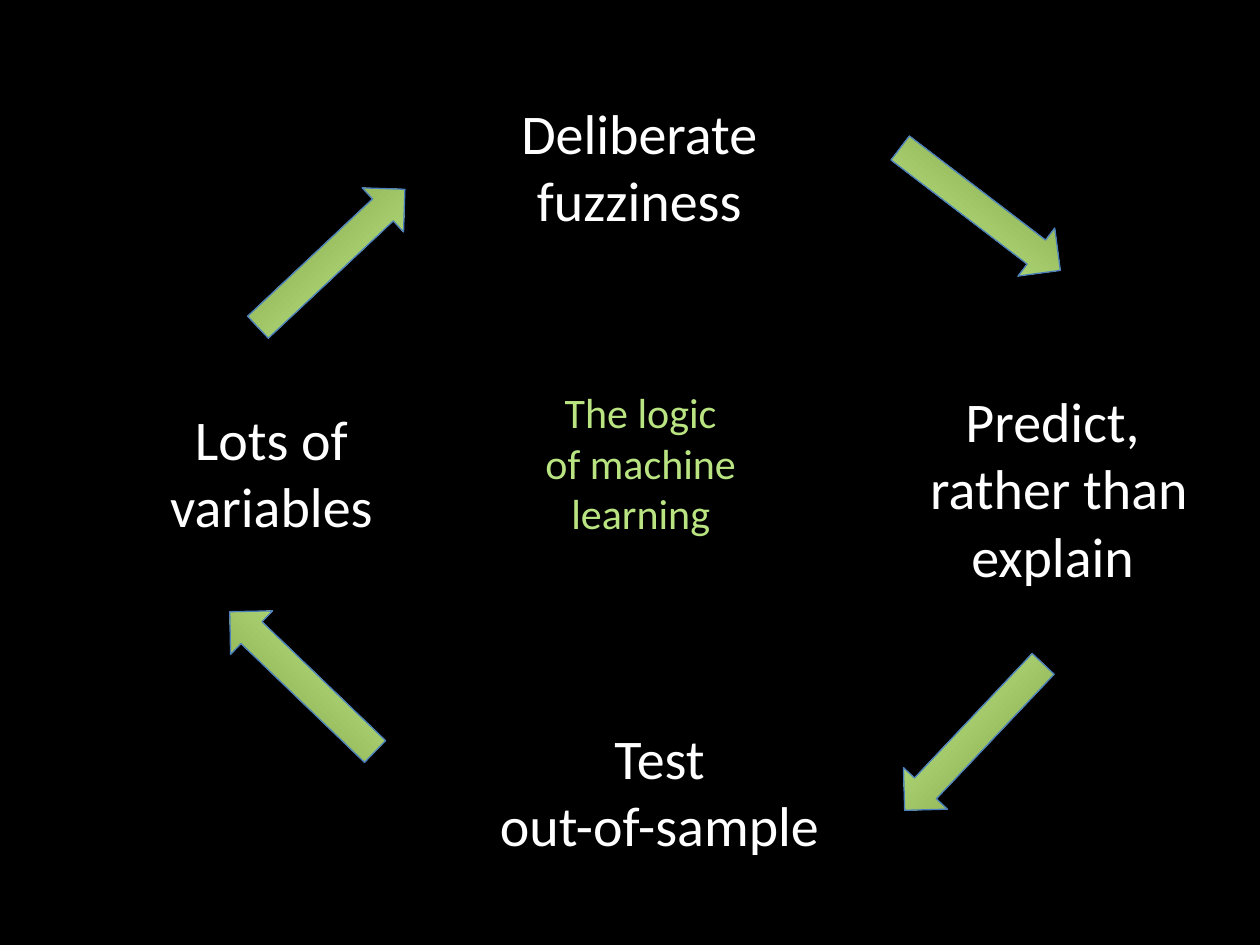
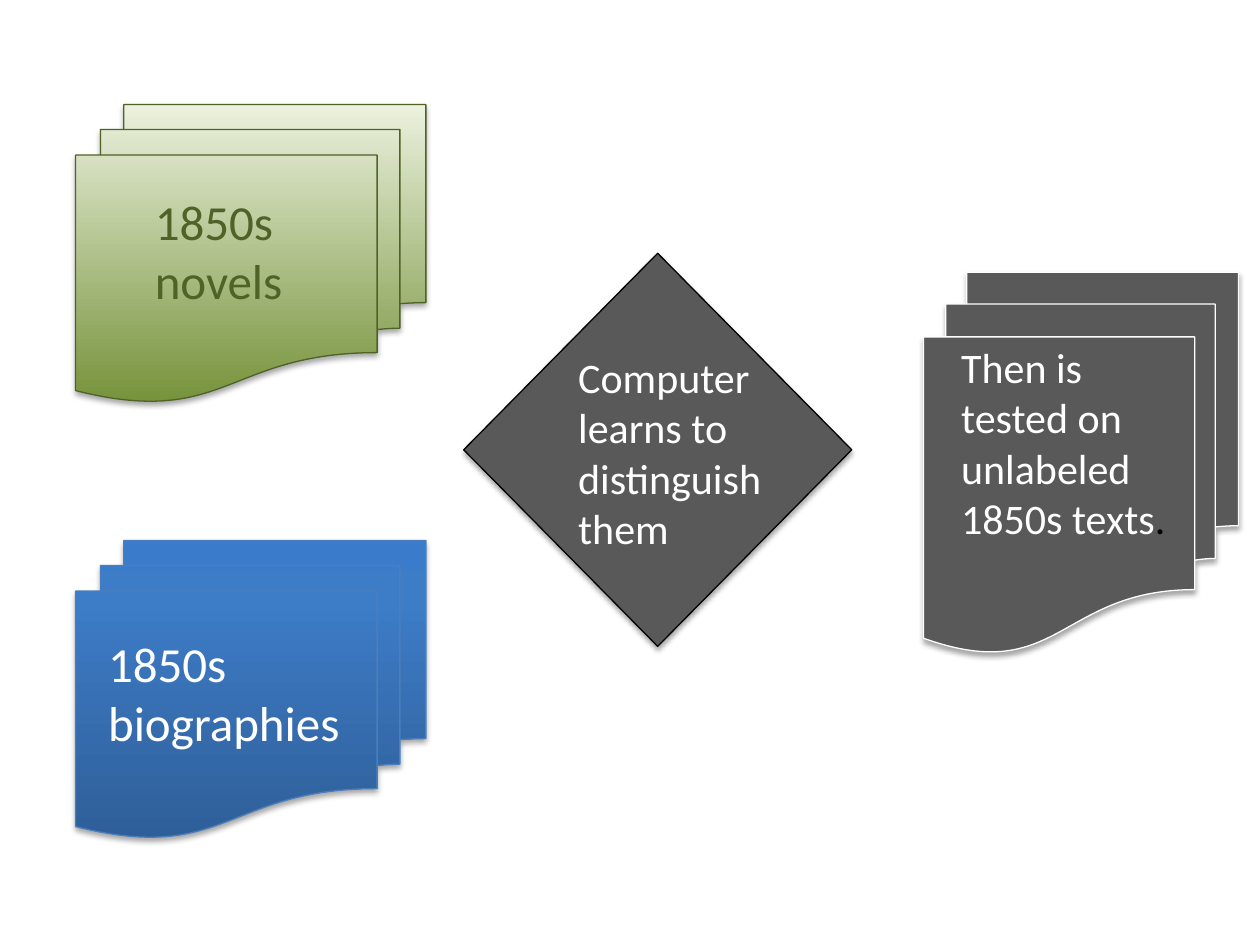
from typing import NamedTuple

from lxml import etree
from pptx import Presentation
from pptx.dml.color import RGBColor
from pptx.enum.shapes import MSO_SHAPE
from pptx.enum.text import MSO_AUTO_SIZE, PP_ALIGN
from pptx.oxml.ns import qn
from pptx.util import Inches, Pt

LEFT_ARROW = MSO_SHAPE.LEFT_ARROW
DOCUMENTS = MSO_SHAPE.FLOWCHART_MULTIDOCUMENT
DECISION = MSO_SHAPE.FLOWCHART_DECISION
GROW = MSO_AUTO_SIZE.SHAPE_TO_FIT_TEXT
LEFT, CENTER = PP_ALIGN.LEFT, PP_ALIGN.CENTER

SLIDE_WIDTH, SLIDE_HEIGHT = Inches(10), Inches(7.5)
COLUMN, ROW = SLIDE_WIDTH / 100, SLIDE_HEIGHT / 75
BLANK_LAYOUT = 6
FONT = "Calibri"

BLACK = RGBColor(0x00, 0x00, 0x00)
WHITE = RGBColor(0xFF, 0xFF, 0xFF)
GRAY = RGBColor(0x59, 0x59, 0x59)
OLIVE = RGBColor(0x77, 0x93, 0x3C)
DARK_OLIVE = RGBColor(0x4F, 0x62, 0x28)
PALE_OLIVE = RGBColor(0xEB, 0xF1, 0xDE)
LIME = RGBColor(0xB9, 0xE4, 0x81)
BRIGHT_LIME = RGBColor(0xAA, 0xD2, 0x55)
OUTLINE_BLUE = RGBColor(0x4B, 0x7E, 0xBC)
DEEP_BLUE = RGBColor(0x2F, 0x5F, 0x99)
MID_BLUE = RGBColor(0x3D, 0x7C, 0xC7)
LIGHT_BLUE = RGBColor(0x3A, 0x7C, 0xCB)

Stops = tuple[tuple[int, RGBColor], ...]
LIME_FILL: Stops = ((0, OLIVE), (80, LIME), (100, BRIGHT_LIME))
BLUE_FILL: Stops = ((0, DEEP_BLUE), (80, MID_BLUE), (100, LIGHT_BLUE))
OLIVE_FILL: Stops = ((0, OLIVE), (100, PALE_OLIVE))
GRAY_FILL: Stops = ((0, GRAY),)


class Area(NamedTuple):
    column: float
    row: float
    columns: float
    rows: float

    def lengths(self) -> tuple[int, int, int, int]:
        return (round(self.column * COLUMN), round(self.row * ROW),
                round(self.columns * COLUMN), round(self.rows * ROW))


class Label(NamedTuple):
    text: str
    area: Area
    size: int
    color: RGBColor = WHITE
    align: PP_ALIGN = LEFT
    black_ending: str = ""


class Figure(NamedTuple):
    kind: MSO_SHAPE
    area: Area
    stops: Stops
    outline: RGBColor
    rotation: float = 0


def cycle_step(text: str, column: float, row: float, rows: float) -> Label:
    return Label(text, Area(column, row, 29.3, rows), 32, align=CENTER)


def cycle_arrow(column: float, row: float, rotation: float) -> Figure:
    return Figure(LEFT_ARROW, Area(column, row, 16, 4.8), LIME_FILL,
                  OUTLINE_BLUE, rotation)


CYCLE_STEPS = (
    cycle_step("Lots of variables", 6.9, 31.6, 11.8),
    cycle_step("Test\nout-of-sample", 37.7, 56.9, 11.8),
    cycle_step("Deliberate fuzziness", 36.1, 7.3, 11.8),
    cycle_step("Predict,\n rather than explain", 68.9, 30.2, 17.2),
)
CYCLE_CENTER = Label("The logic\vof machine\nlearning",
                     Area(36.2, 30.2, 29.3, 13.1), 24, LIME, CENTER)
CYCLE_ARROWS = (
    cycle_arrow(18.3, 18.1, 136.8),
    cycle_arrow(69.8, 14.2, 217.4),
    cycle_arrow(69.3, 56.1, 313.4),
    cycle_arrow(16, 51.7, 43.9),
)

TRAINING_FIGURES = (
    Figure(DOCUMENTS, Area(6, 42.9, 27.8, 23.6), BLUE_FILL, OUTLINE_BLUE),
    Figure(DOCUMENTS, Area(6, 8.3, 27.8, 23.6), OLIVE_FILL, DARK_OLIVE),
    Figure(DECISION, Area(36.8, 20.1, 30.8, 31.2), GRAY_FILL, BLACK),
    Figure(DOCUMENTS, Area(73.3, 21.6, 25, 30.2), GRAY_FILL, WHITE),
)
TRAINING_LABELS = (
    Label("1850s\nbiographies", Area(7.6, 49.8, 21, 10.4), 28),
    Label("1850s\nnovels", Area(11.3, 14.7, 15.5, 10.4), 28, DARK_OLIVE),
    Label("Computer learns to distinguish them",
          Area(44.9, 27.4, 18.9, 17.2), 24),
    Label("Then is tested on unlabeled 1850s texts",
          Area(75.3, 26.6, 19.1, 17.2), 24, black_ending="."),
)


def add_color(parent, color: RGBColor):
    return etree.SubElement(parent, qn("a:srgbClr"), val=str(color))


def fill_figure(shape, stops: Stops) -> None:
    if len(stops) == 1:
        shape.fill.solid()
        shape.fill.fore_color.rgb = stops[0][1]
        return
    shape.fill.gradient()
    shape.fill.gradient_angle = 90
    stop_list = next(shape.element.spPr.iter(qn("a:gsLst")))
    for stop in list(stop_list):
        stop_list.remove(stop)
    for percent, color in stops:
        stop = etree.SubElement(stop_list, qn("a:gs"), pos=str(percent * 1000))
        add_color(stop, color)


def cast_shadow(shape) -> None:
    shape.shadow.inherit = False
    effects = shape.element.spPr.find(qn("a:effectLst"))
    shadow = etree.SubElement(
        effects, qn("a:outerShdw"), blurRad=str(Pt(3.1)), dist=str(Pt(1.8)),
        dir="5400000", rotWithShape="0")
    etree.SubElement(add_color(shadow, BLACK), qn("a:alpha"), val="35000")


def draw_figure(slide, figure: Figure) -> None:
    shape = slide.shapes.add_shape(figure.kind, *figure.area.lengths())
    shape.rotation = figure.rotation
    fill_figure(shape, figure.stops)
    shape.line.color.rgb = figure.outline
    shape.line.width = Pt(0.75)
    cast_shadow(shape)


def draw_label(slide, label: Label) -> None:
    frame = slide.shapes.add_textbox(*label.area.lengths()).text_frame
    frame.word_wrap = True
    frame.auto_size = GROW
    frame.text = label.text
    if label.black_ending:
        frame.paragraphs[-1].add_run().text = label.black_ending
    for paragraph in frame.paragraphs:
        paragraph.alignment = label.align
        for run in paragraph.runs:
            run.font.name = FONT
            run.font.size = Pt(label.size)
            run.font.color.rgb = label.color
    if label.black_ending:
        frame.paragraphs[-1].runs[-1].font.color.rgb = BLACK


def add_slide(deck, background: RGBColor):
    slide = deck.slides.add_slide(deck.slide_layouts[BLANK_LAYOUT])
    slide.background.fill.solid()
    slide.background.fill.fore_color.rgb = background
    return slide


def draw_all(slide, figures: tuple[Figure, ...],
             labels: tuple[Label, ...]) -> None:
    for figure in figures:
        draw_figure(slide, figure)
    for label in labels:
        draw_label(slide, label)


def main() -> None:
    deck = Presentation()
    deck.slide_width, deck.slide_height = SLIDE_WIDTH, SLIDE_HEIGHT
    draw_all(add_slide(deck, BLACK), CYCLE_ARROWS,
             (*CYCLE_STEPS, CYCLE_CENTER))
    draw_all(add_slide(deck, WHITE), TRAINING_FIGURES, TRAINING_LABELS)
    deck.save("out.pptx")


if __name__ == "__main__":
    main()
